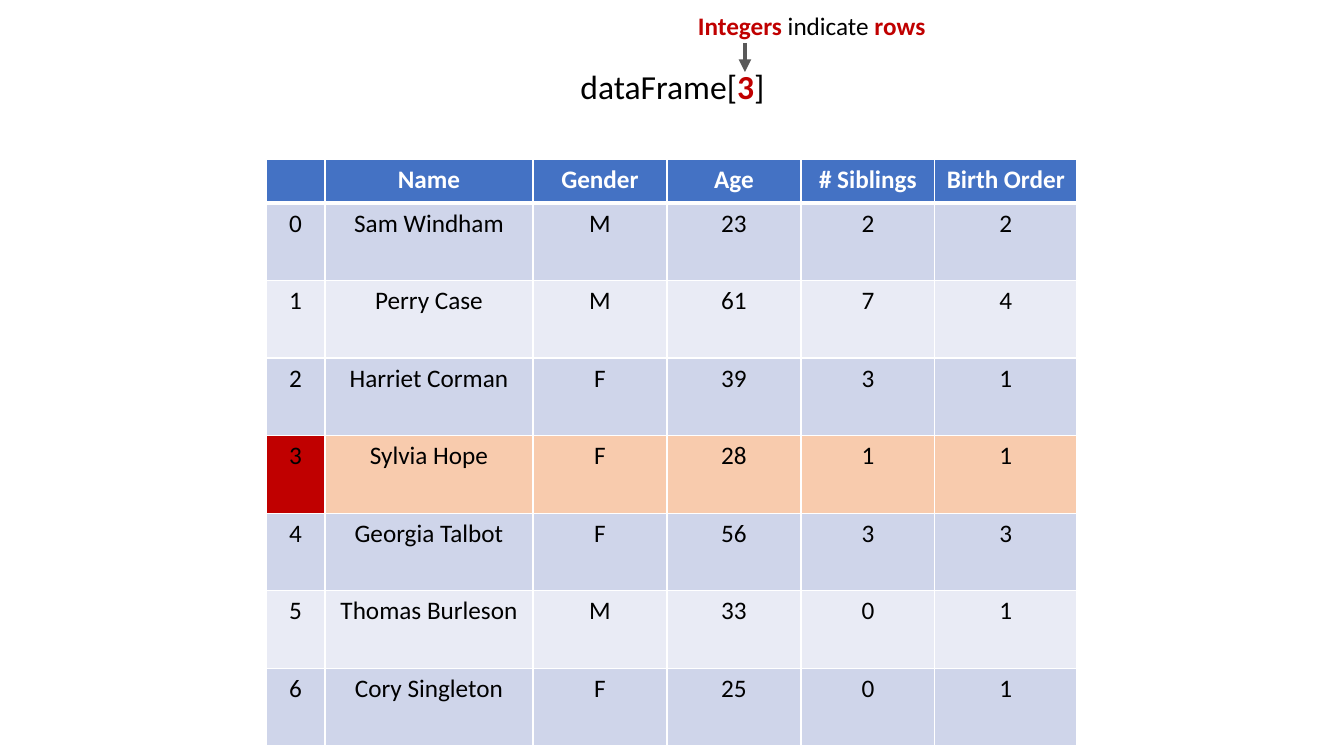
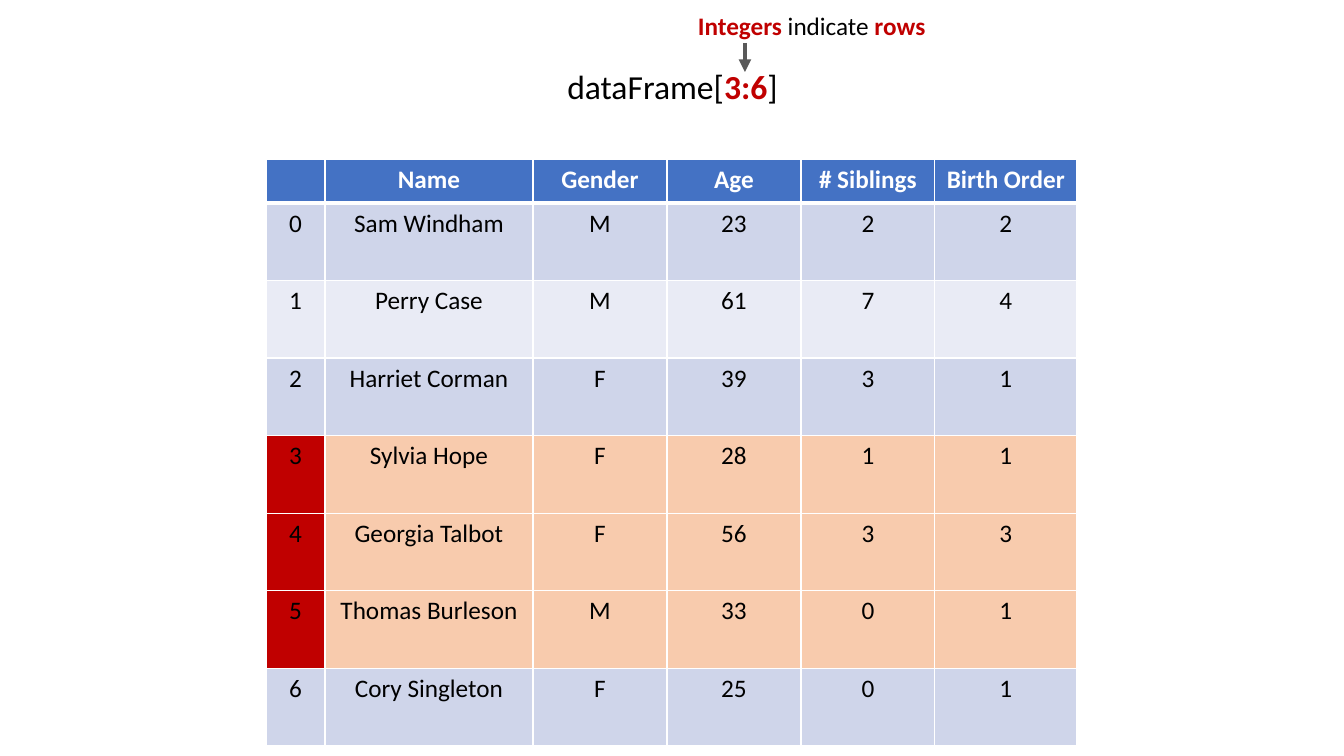
from lxml import etree
from pptx import Presentation
from pptx.dml.color import RGBColor
from pptx.enum.shapes import MSO_CONNECTOR
from pptx.enum.text import MSO_ANCHOR, MSO_AUTO_SIZE, PP_ALIGN
from pptx.oxml import parse_xml
from pptx.oxml.ns import nsdecls, qn
from pptx.util import Emu, Pt

FONT = "Calibri"
WHITE, BLACK, RED, GRAY = "FFFFFF", "000000", "C00000", "595959"
HEADER_BLUE, BAND_DARK, BAND_LIGHT, PEACH = "4472C4", "CFD5EA", "E9EBF5", "F8CBAD"

COLUMN_WIDTHS = [59, 208, 134, 134, 134, 142]
HEADER_HEIGHT, BODY_HEIGHT = 44, 543
TABLE_LEFT, TABLE_TOP = 266, 159
PEOPLE = [
    ["", "Name", "Gender", "Age", "# Siblings", "Birth Order"],
    ["0", "Sam Windham", "M", "23", "2", "2"],
    ["1", "Perry Case", "M", "61", "7", "4"],
    ["2", "Harriet Corman", "F", "39", "3", "1"],
    ["3", "Sylvia Hope", "F", "28", "1", "1"],
    ["4", "Georgia Talbot", "F", "56", "3", "3"],
    ["5", "Thomas Burleson", "M", "33", "0", "1"],
    ["6", "Cory Singleton", "F", "25", "0", "1"],
]
# Index expression and the data rows it selects
SELECTIONS = [("3", range(3, 4)), ("3:6", range(3, 6))]

rgb = RGBColor.from_string


def px(length):
    """Turn pixels (100.8 to the inch) into EMU."""
    return Emu(round(length * 914400 / 100.8))


def write_runs(paragraph, size, align, runs):
    """Fill a paragraph with (text, colour, bold) runs."""
    paragraph.alignment = align
    for text, color, bold in runs:
        run = paragraph.add_run()
        run.text = text
        run.font.name, run.font.size, run.font.bold = FONT, Pt(size), bold
        run.font.color.rgb = rgb(color)


prs = Presentation()
prs.slide_width, prs.slide_height = px(1344), px(756)
title_only = prs.slide_layouts[5]

for index_text, selected in SELECTIONS:
    slide = prs.slides.add_slide(title_only)

    # Index expression
    title = slide.shapes.title
    title.left, title.top, title.width, title.height = px(485), px(61), px(375), px(51)
    title.text_frame.word_wrap = True
    title.text_frame.auto_size = MSO_AUTO_SIZE.SHAPE_TO_FIT_TEXT
    title.text_frame.vertical_anchor = MSO_ANCHOR.TOP
    write_runs(title.text_frame.paragraphs[0], 24, PP_ALIGN.CENTER, [
        ("dataFrame[", BLACK, False), (index_text, RED, True), ("]", BLACK, False)])

    # Table of people
    row_height = BODY_HEIGHT / (len(PEOPLE) - 1)
    table = slide.shapes.add_table(
        len(PEOPLE), len(COLUMN_WIDTHS), px(TABLE_LEFT), px(TABLE_TOP),
        px(sum(COLUMN_WIDTHS)), px(HEADER_HEIGHT + BODY_HEIGHT)).table
    for column, width in zip(table.columns, COLUMN_WIDTHS):
        column.width = px(width)
    for r, values in enumerate(PEOPLE):
        is_header = r == 0
        table.rows[r].height = px(HEADER_HEIGHT if is_header else row_height)
        widths = {"lnL": 1, "lnR": 1, "lnT": 3 if r == 1 else 1, "lnB": 3 if is_header else 1}
        for c, value in enumerate(values):
            cell = table.cell(r, c)
            for side, width in widths.items():
                cell.fill._xPr.append(parse_xml(
                    f'<a:{side} {nsdecls("a")} w="{Pt(width)}"><a:solidFill>'
                    f'<a:srgbClr val="{WHITE}"/></a:solidFill></a:{side}>'))
            if is_header:
                fill = HEADER_BLUE
            elif r - 1 in selected:
                fill = RED if c == 0 else PEACH
            else:
                fill = BAND_DARK if r % 2 else BAND_LIGHT
            cell.fill.solid()
            cell.fill.fore_color.rgb = rgb(fill)
            if value:
                write_runs(cell.text_frame.paragraphs[0], 18, PP_ALIGN.CENTER,
                           [(value, WHITE if is_header else BLACK, is_header)])

    # Note above the index, with its arrow
    note = slide.shapes.add_textbox(px(688), px(5), px(257), px(40)).text_frame
    note.word_wrap = True
    note.auto_size = MSO_AUTO_SIZE.SHAPE_TO_FIT_TEXT
    write_runs(note.paragraphs[0], 18, PP_ALIGN.LEFT, [
        ("Integers", RED, True), (" indicate ", BLACK, False), ("rows", RED, True)])

    arrow = slide.shapes.add_connector(MSO_CONNECTOR.STRAIGHT, px(745), px(43), px(745), px(72))
    arrow.line.color.rgb = rgb(GRAY)
    arrow.line.width = Pt(3)
    etree.SubElement(arrow.line._get_or_add_ln(), qn("a:tailEnd"), type="triangle")
    etree.SubElement(arrow._element.spPr, qn("a:effectLst"))

prs.save("out.pptx")
